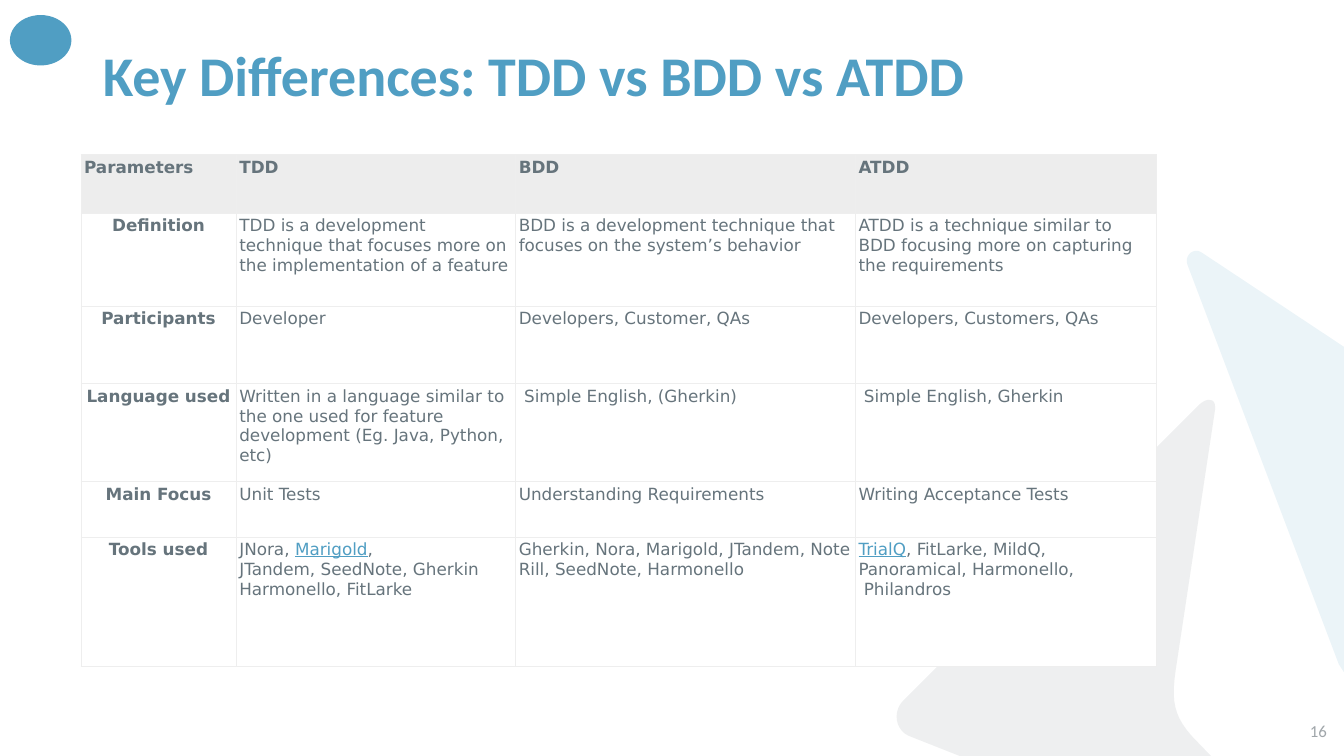
"""Build a slide comparing TDD, BDD and ATDD in a table."""
from dataclasses import dataclass

from lxml import etree
from pptx import Presentation
from pptx.dml.color import RGBColor
from pptx.dml.fill import FillFormat
from pptx.enum.shapes import MSO_SHAPE as Preset
from pptx.enum.text import MSO_ANCHOR as Anchor, PP_ALIGN as Align
from pptx.oxml.ns import qn
from pptx.shapes.autoshape import Shape
from pptx.slide import Slide
from pptx.table import _Cell as Cell
from pptx.text.text import Font
from pptx.util import Cm, Pt

BLUE, SLATE, PALE = "509EC3", "66747C", "A0A6AA"
HEADER, BORDER, WHITE = "EDEDED", "EEEEEE", "FFFFFF"
HEADING_FONT, TABLE_FONT = "Calibri", "DejaVu Sans"
HARD_SPACE = chr(160)

Point = tuple[float, float]


@dataclass
class Outline:
    """A tinted outline; a segment is one line end or three curve points."""
    color: str
    start: Point
    segments: list[tuple[Point, ...]]


@dataclass
class Label:
    """A single line of text in a box, measured in centimetres."""
    text: str
    left: float
    top: float
    width: float
    height: float
    size: float
    color: str
    bold: bool = False
    align: Align = Align.LEFT
    margin_top: float = 0.13


@dataclass
class Row:
    """A table row with its height in centimetres."""
    height: float
    texts: list[str]


OUTLINES = [
    Outline(BLUE, (30.15, 6.32), [
        ((30.2, 6.32), (30.25, 6.35), (30.33, 6.4)),
        ((33.86, 8.74),), ((33.86, 16.94),), ((33.73, 16.74),), ((29.92, 6.68),),
        ((29.85, 6.5), (29.97, 6.32), (30.15, 6.32)),
    ]),
    Outline(SLATE, (30.48, 10.08), [
        ((30.58, 10.08), (30.63, 10.16), (30.61, 10.34)),
        ((29.62, 16.89),),
        ((29.51, 17.65), (29.57, 18.03), (30.02, 18.54)),
        ((30.51, 19.05),), ((24.18, 19.05),), ((22.89, 18.54),),
        ((22.56, 18.39), (22.48, 17.93), (22.76, 17.65)),
        ((30.2, 10.21),),
        ((30.28, 10.13), (30.4, 10.06), (30.48, 10.08)),
    ]),
]
LABELS = [
    Label("Key Differences: TDD vs BDD vs ATDD", 2.34, 0.43, 28.78, 2.79, 40, BLUE,
          bold=True, margin_top=0.45),
    Label("16", 32.16, 17.93, 1.52, 1.02, 12, PALE, align=Align.RIGHT),
]
COLUMN_WIDTHS = [3.91, 7.04, 8.56, 7.59]
ROWS = [
    Row(1.48, ["Parameters", "TDD", "BDD", "ATDD"]),
    Row(2.34, [
        "Definition",
        "TDD is a development technique that focuses more on the implementation of a feature",
        "BDD is a development technique that focuses on the system’s behavior",
        "ATDD is a technique similar to BDD focusing more on capturing the requirements",
    ]),
    Row(1.96, ["Participants", "Developer", "Developers, Customer, QAs",
               "Developers, Customers, QAs"]),
    Row(2.46, [
        "Language used",
        "Written in a language similar to the one used for feature development "
        "(Eg. Java, Python, etc)",
        "~Simple English, (Gherkin)",
        "~Simple English, Gherkin",
    ]),
    Row(1.4, ["Main Focus", "Unit Tests", "Understanding Requirements",
              "Writing Acceptance Tests"]),
    Row(3.25, [
        "Tools used",
        "JNora,~|Marigold|, JTandem,~SeedNote, Gherkin Harmonello, FitLarke",
        "Gherkin, Nora, Marigold, JTandem, Note Rill,~SeedNote, Harmonello",
        "|TrialQ|, FitLarke,~MildQ, Panoramical,~Harmonello, ~Philandros",
    ]),
]


def rgb(color: str) -> RGBColor:
    """Turn a hex string into a colour."""
    return RGBColor.from_string(color)


def paint(fill: FillFormat, color: str) -> None:
    """Fill with one solid colour."""
    fill.solid()
    fill.fore_color.rgb = rgb(color)


def style_font(font: Font, name: str, size: float, color: str, bold: bool) -> None:
    """Set the look of a font."""
    font.name, font.size, font.bold = name, Pt(size), bold
    font.color.rgb = rgb(color)


def style_shape(shape: Shape, color: str) -> None:
    """Give a shape a plain fill without line or shadow."""
    paint(shape.fill, color)
    shape.line.fill.background()
    shape.shadow.inherit = False


def curve(points: list[Point], steps: int = 10) -> list[Point]:
    """Sample a cubic curve after its first point."""
    samples = []
    for step in range(1, steps + 1):
        t = step / steps
        weights = ((1 - t) ** 3, 3 * t * (1 - t) ** 2, 3 * t * t * (1 - t), t ** 3)
        x, y = (sum(w * p[axis] for w, p in zip(weights, points)) for axis in (0, 1))
        samples.append((x, y))
    return samples


def draw_outline(slide: Slide, outline: Outline) -> None:
    """Draw a translucent background outline."""
    points = [outline.start]
    for segment in outline.segments:
        points += curve([points[-1], *segment]) if len(segment) == 3 else segment
    vertices = [(Cm(x), Cm(y)) for x, y in points]
    builder = slide.shapes.build_freeform(*vertices[0])
    builder.add_line_segments(vertices[1:], close=True)
    shape = builder.convert_to_shape()
    style_shape(shape, outline.color)
    color = shape._element.spPr.find(qn("a:solidFill"))[0]
    etree.SubElement(color, qn("a:alpha"), val="11000")


def draw_label(slide: Slide, label: Label) -> None:
    """Draw a line of text centred vertically in its box."""
    box = slide.shapes.add_textbox(
        *map(Cm, (label.left, label.top, label.width, label.height)))
    frame = box.text_frame
    frame.word_wrap = True
    frame.vertical_anchor = Anchor.MIDDLE
    frame.margin_top = Cm(label.margin_top)
    paragraph = frame.paragraphs[0]
    paragraph.text, paragraph.alignment = label.text, label.align
    paragraph.line_spacing = 0.9
    style_font(paragraph.font, HEADING_FONT, label.size, label.color, label.bold)


def draw_borders(cell: Cell) -> None:
    """Draw a thin line on each side of a cell."""
    properties = cell._tc.get_or_add_tcPr()
    for side in ("lnL", "lnR", "lnT", "lnB"):
        line = etree.SubElement(properties, qn(f"a:{side}"), w=str(Pt(0.6)))
        fill = etree.SubElement(line, qn("a:solidFill"))
        etree.SubElement(fill, qn("a:srgbClr"), val=BORDER)


def fill_cell(cell: Cell, text: str, header: bool, first: bool) -> None:
    """Write a cell; bars enclose accented text and a tilde is a hard space."""
    draw_borders(cell)
    paint(cell.fill, HEADER if header else WHITE)
    cell.margin_left = cell.margin_right = cell.margin_top = cell.margin_bottom = Cm(0.08)
    paragraph = cell.text_frame.paragraphs[0]
    paragraph.alignment = Align.CENTER if first and not header else Align.LEFT
    style_font(paragraph.font, TABLE_FONT, 12, SLATE, header or first)
    for index, part in enumerate(text.replace("~", HARD_SPACE).split("|")):
        if part:
            run = paragraph.add_run()
            run.text = part
            if index % 2:
                run.font.color.rgb = rgb(BLUE)
                run.font.underline = True


def draw_table(slide: Slide) -> None:
    """Draw the comparison table."""
    table = slide.shapes.add_table(
        len(ROWS), len(COLUMN_WIDTHS), Cm(2.04), Cm(3.89),
        Cm(sum(COLUMN_WIDTHS)), Cm(sum(row.height for row in ROWS))).table
    table.first_row = table.horz_banding = False
    for column, width in zip(table.columns, COLUMN_WIDTHS):
        column.width = Cm(width)
    for i, row in enumerate(ROWS):
        table.rows[i].height = Cm(row.height)
        for j, text in enumerate(row.texts):
            fill_cell(table.cell(i, j), text, header=i == 0, first=j == 0)


def main() -> None:
    """Build and save the presentation."""
    presentation = Presentation()
    presentation.slide_width, presentation.slide_height = Cm(33.86), Cm(19.05)
    slide = presentation.slides.add_slide(presentation.slide_layouts[6])
    for outline in OUTLINES:
        draw_outline(slide, outline)
    emblem = slide.shapes.add_shape(Preset.OVAL, Cm(0.25), Cm(0.38), Cm(1.55), Cm(1.27))
    style_shape(emblem, BLUE)
    for label in LABELS:
        draw_label(slide, label)
    draw_table(slide)
    presentation.save("out.pptx")


if __name__ == "__main__":
    main()
